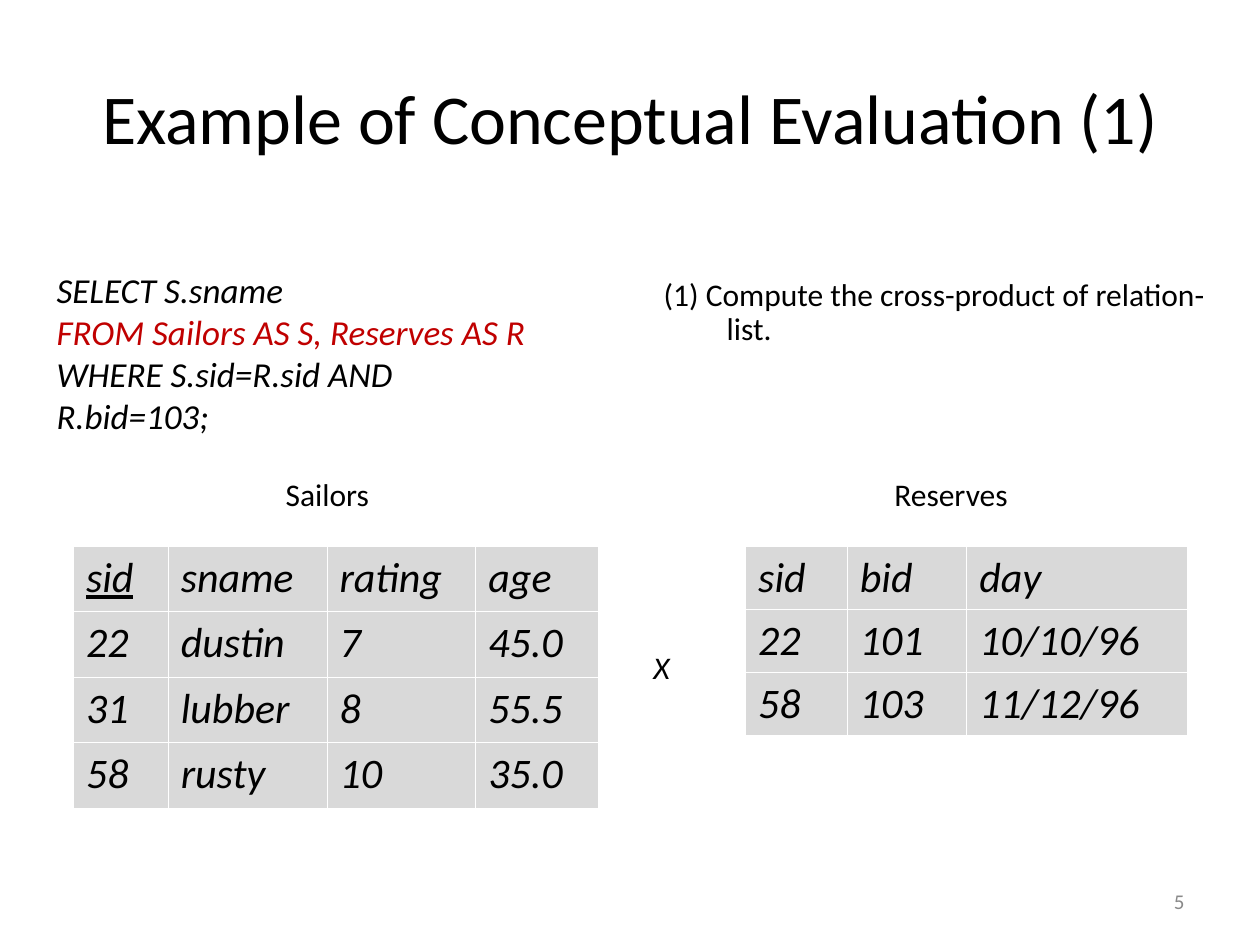
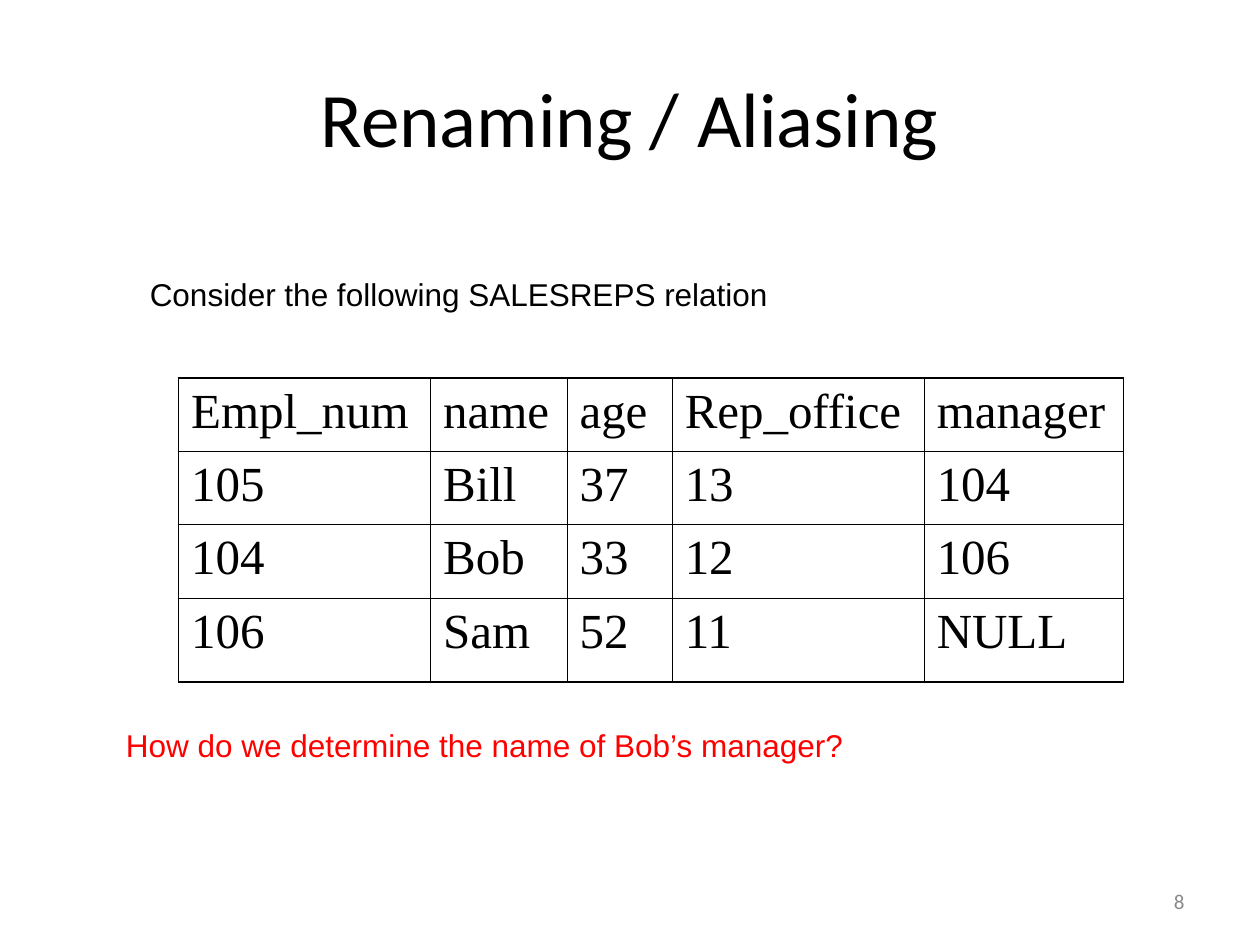
from pptx import Presentation
from pptx import util as u
from pptx.dml.color import RGBColor
from pptx.enum import text as t
from pptx.oxml import parse_xml
from pptx.oxml.ns import nsdecls

BLACK = RGBColor(0x00, 0x00, 0x00)
WHITE = RGBColor(0xFF, 0xFF, 0xFF)
GRAY = RGBColor(0x89, 0x89, 0x89)
SILVER = RGBColor(0xD9, 0xD9, 0xD9)
CRIMSON = RGBColor(0xC0, 0x00, 0x00)
RED = RGBColor(0xFF, 0x00, 0x00)

SANS, ARIAL, SERIF = "Calibri", "Arial", "Times New Roman"
THIN, THICK = 0.45, 1.08


def add_run(para, words, size, font=SANS, color=BLACK, italic=False, under=False):
    run = para.add_run()
    run.text = words
    run.font.size = u.Pt(size)
    run.font.name = font
    run.font.color.rgb = color
    run.font.bold = False
    run.font.italic = italic
    run.font.underline = under


def add_text(slide, box, lines, size, font=SANS, italic=False,
             align=t.PP_ALIGN.LEFT, anchor=t.MSO_ANCHOR.TOP):
    frame = slide.shapes.add_textbox(*map(u.Cm, box)).text_frame
    frame.word_wrap = True
    frame.vertical_anchor = anchor
    for i, (words, color) in enumerate(lines):
        para = frame.paragraphs[0] if i == 0 else frame.add_paragraph()
        para.alignment = align
        add_run(para, words, size, font, color, italic)
    return frame


def add_frame(deck, title, size, number):
    slide = deck.slides.add_slide(deck.slide_layouts[6])
    add_text(slide, (1.27, 0.76, 22.86, 3.18), [(title, BLACK)], size,
             align=t.PP_ALIGN.CENTER, anchor=t.MSO_ANCHOR.MIDDLE)
    add_text(slide, (18.21, 17.65, 5.92, 1.02), [(number, GRAY)], 12,
             align=t.PP_ALIGN.RIGHT, anchor=t.MSO_ANCHOR.MIDDLE)
    return slide


def set_edge(cell, side, width, color):
    cell._tc.get_or_add_tcPr().append(parse_xml(
        f'<a:ln{side} {nsdecls("a")} w="{u.Pt(width)}"><a:solidFill>'
        f'<a:srgbClr val="{color}"/></a:solidFill></a:ln{side}>'))


def add_grid(slide, spot, cols, rows, data, size, font=SANS, italic=False,
             fill=None, edge=BLACK, rim=THIN, key=None):
    left, top = spot
    box = (left, top, sum(cols), sum(rows))
    table = slide.shapes.add_table(len(rows), len(cols), *map(u.Cm, box)).table
    table.first_row = table.horz_banding = False
    for col, width in zip(table.columns, cols):
        col.width = u.Cm(width)
    for row, height in zip(table.rows, rows):
        row.height = u.Cm(height)
    for r, line in enumerate(data):
        for c, words in enumerate(line):
            cell = table.cell(r, c)
            outer = {"L": c == 0, "R": c == len(cols) - 1,
                     "T": r == 0, "B": r == len(rows) - 1}
            for side, out in outer.items():
                set_edge(cell, side, rim if out else THIN, edge)
            if fill is None:
                cell.fill.background()
            else:
                cell.fill.solid()
                cell.fill.fore_color.rgb = fill
            add_run(cell.text_frame.paragraphs[0], words, size, font,
                    italic=italic, under=words == key)


def add_rel(slide, spot, name, shift, cols, step, data, key=None):
    left, top = spot
    add_text(slide, (left + shift, top, 3.2, 1.02), [(name, BLACK)], 18)
    add_grid(slide, (left, top + 1.55), cols, [step] * len(data), data, 24,
             italic=True, fill=SILVER, edge=WHITE, key=key)


def add_step(slide, box, words):
    frame = add_text(slide, box, [(words, BLACK)], 18)
    para = frame.paragraphs[0]
    para.line_spacing = 0.9
    props = para._p.get_or_add_pPr()
    props.set("marL", str(u.Cm(1.27)))
    props.set("indent", str(-u.Cm(1.27)))


def build_cross(deck):
    slide = add_frame(deck, "Example of Conceptual Evaluation (1)", 40, "5")
    add_step(slide, (13.13, 5.5, 11.64, 2.46),
             "(1) Compute the cross-product of relation-list.")
    query = [("SELECT S.sname", BLACK),
             ("FROM Sailors AS S, Reserves AS R", CRIMSON),
             ("WHERE S.sid=R.sid AND R.bid=103;", BLACK)]
    add_text(slide, (0.89, 5.28, 10.2, 2.8), query, 20, italic=True)
    sailors = [("sid", "sname", "rating", "age"),
               ("22", "dustin", "7", "45.0"),
               ("31", "lubber", "8", "55.5"),
               ("58", "rusty", "10", "35.0")]
    add_rel(slide, (1.48, 9.46), "Sailors", 4.03,
            (1.91, 3.2, 3, 2.48), 1.32, sailors, "sid")
    reserves = [("sid", "bid", "day"),
                ("22", "101", "10/10/96"),
                ("58", "103", "11/12/96")]
    add_rel(slide, (15.03, 9.46), "Reserves", 2.75,
            (2.05, 2.41, 4.44), 1.27, reserves)
    add_text(slide, (12.92, 12.93, 1, 1.02), [("X", BLACK)], 18, italic=True)


def build_alias(deck):
    slide = add_frame(deck, "Renaming / Aliasing", 44, "8")
    add_text(slide, (2.77, 5.41, 14, 1.02),
             [("Consider the following SALESREPS relation", BLACK)], 18, ARIAL)
    reps = [("Empl_num", "name", "age", "Rep_office", "manager"),
            ("105", "Bill", "37", "13", "104"),
            ("104", "Bob", "33", "12", "106"),
            ("106", "Sam", "52", "11", "NULL")]
    add_grid(slide, (3.6, 7.62), (5.08, 2.75, 2.12, 5.08, 4.02),
             (1.48, 1.48, 1.48, 1.69), reps, 28, SERIF, rim=THICK)
    add_text(slide, (2.29, 14.51, 16, 1.02),
             [("How do we determine the name of Bob’s manager?", RED)], 18, ARIAL)


def main():
    deck = Presentation()
    deck.slide_width, deck.slide_height = u.Cm(25.4), u.Cm(19.05)
    build_cross(deck)
    build_alias(deck)
    deck.save("out.pptx")


if __name__ == "__main__":
    main()
